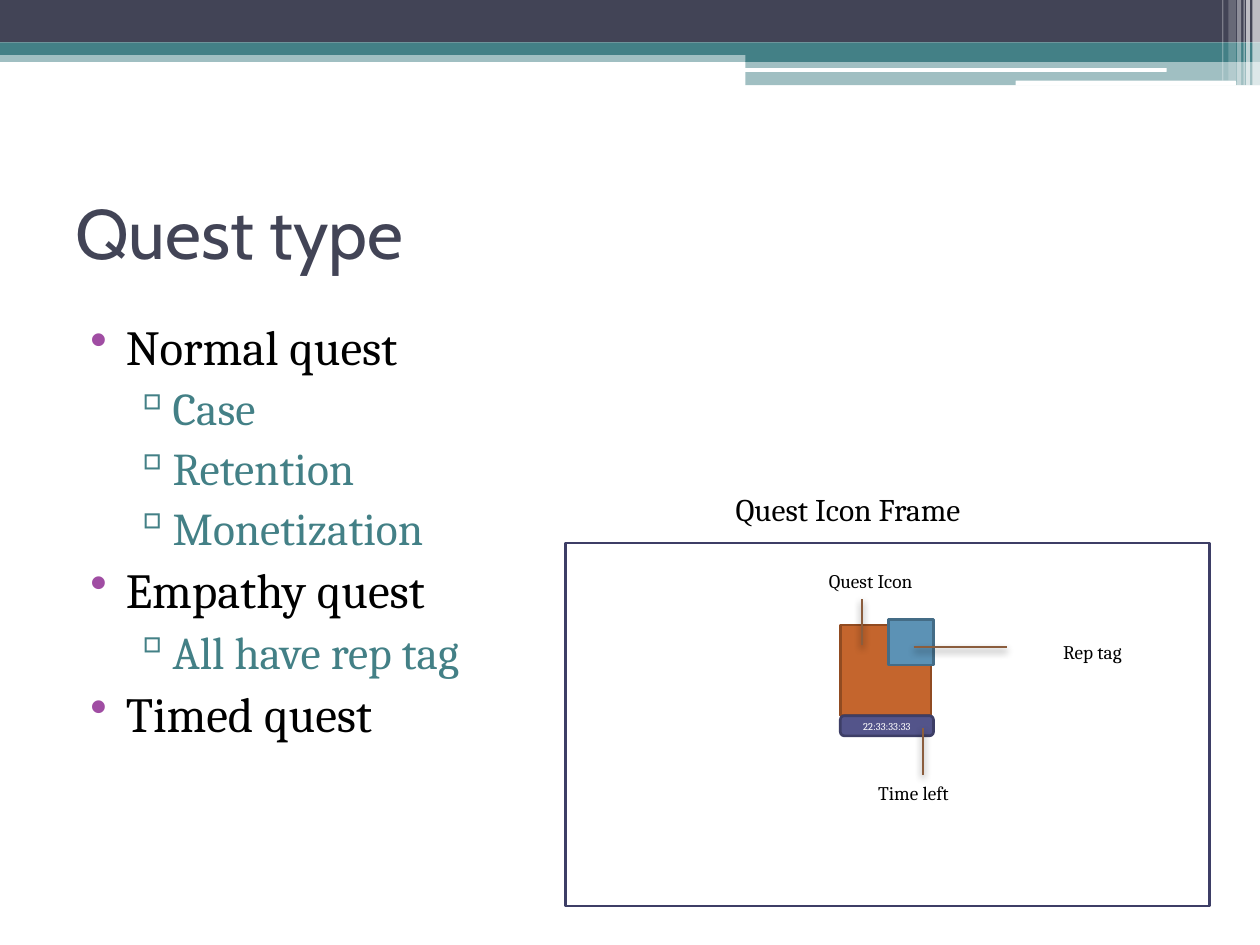
from lxml import etree
from pptx import Presentation
from pptx.dml.color import RGBColor
from pptx.enum import shapes, text
from pptx.oxml.ns import qn
from pptx.util import Pt

WHITE = RGBColor(0xFF, 0xFF, 0xFF)
BLACK = RGBColor(0, 0, 0)
SLATE = RGBColor(0x42, 0x44, 0x56)
TEAL = RGBColor(0x43, 0x80, 0x86)
PURPLE = RGBColor(0xA0, 0x4D, 0xA3)
ORANGE = RGBColor(0xC4, 0x65, 0x2D)
RUST = RGBColor(0x91, 0x4B, 0x21)
BLUE = RGBColor(0x5C, 0x92, 0xB5)
DEEP_BLUE = RGBColor(0x44, 0x6C, 0x86)
INDIGO = RGBColor(0x53, 0x54, 0x8A)
NAVY = RGBColor(0x3D, 0x3E, 0x66)
BROWN = RGBColor(0x8B, 0x5D, 0x3D)

RECT = shapes.MSO_SHAPE.RECTANGLE
ROUND = shapes.MSO_SHAPE.ROUNDED_RECTANGLE

# Bullet, its colour, text colour, size, left margin and hanging indent per level
LEVELS = [("•", PURPLE, BLACK, 28, 28.8, 20.2),
          ("▫", TEAL, TEAL, 26, 51.8, 19.4)]
QUESTS = [(0, "Normal quest"), (1, "Case"), (1, "Retention"),
          (1, "Monetization"), (0, "Empathy quest"),
          (1, "All have rep tag"), (0, "Timed quest")]


def sub(parent, tag, **attrs):
    return etree.SubElement(parent, qn(tag), {k: str(v) for k, v in attrs.items()})


def add_box(s, box, fill=None, line=None, kind=RECT, alpha=100, adj=0.167):
    sp = s.shapes.add_shape(kind, *map(Pt, box))
    sp.shadow.inherit = False
    if kind == ROUND:
        sp.adjustments[0] = adj
    if fill is None:
        sp.fill.background()
    else:
        sp.fill.solid()
        sp.fill.fore_color.rgb = fill
        if alpha < 100:
            color = sp._element.spPr.find(qn("a:solidFill"))[0]
            sub(color, "a:alpha", val=alpha * 1000)
    if line is None:
        sp.line.fill.background()
    else:
        sp.line.color.rgb = line
        sp.line.width = Pt(1.5)
    return sp


def style(p, size, color, font="Cambria", align=None):
    p.font.size, p.font.name, p.font.color.rgb = Pt(size), font, color
    p.alignment = align


def add_text(s, words, box, size=11, color=BLACK, font="Cambria", align=None,
             anchor=text.MSO_ANCHOR.TOP):
    tf = s.shapes.add_textbox(*map(Pt, box)).text_frame
    tf.word_wrap = True
    tf.vertical_anchor = anchor
    p = tf.paragraphs[0]
    p.text = words
    style(p, size, color, font, align)


def add_list(s, items, box):
    tf = s.shapes.add_textbox(*map(Pt, box)).text_frame
    tf.word_wrap = True
    for i, (level, words) in enumerate(items):
        char, bullet_color, color, size, margin, hang = LEVELS[level]
        p = tf.paragraphs[0] if i == 0 else tf.add_paragraph()
        p.text = words
        p.level = level
        if i:
            p.space_before = Pt(3)
        pPr = p._p.get_or_add_pPr()
        pPr.set("marL", str(Pt(margin)))
        pPr.set("indent", str(-Pt(hang)))
        sub(sub(pPr, "a:buClr"), "a:srgbClr", val=bullet_color)
        sub(pPr, "a:buChar", char=char)
        style(p, size, color)


def add_pointer(s, x1, y1, x2, y2):
    c = s.shapes.add_connector(shapes.MSO_CONNECTOR.STRAIGHT,
                               Pt(x1), Pt(y1), Pt(x2), Pt(y2))
    c.line.color.rgb = BROWN
    c.line.width = Pt(1.5)
    effects = sub(c._element.spPr, "a:effectLst")
    shadow = sub(effects, "a:outerShdw", blurRad=Pt(4.1), dist=Pt(2),
                 dir=90 * 60000, rotWithShape=0)
    sub(sub(shadow, "a:srgbClr", val=BLACK), "a:alpha", val=40000)


def add_header(s):
    # Horizontal bands
    for box, color, alpha in [((0, 28.8, 720, 6.6), TEAL, 50),
                              ((0, 0, 720, 24.3), SLATE, 100),
                              ((0, 24.2, 720, 7.2), TEAL, 100),
                              ((426, 28.2, 294, 7.2), TEAL, 100),
                              ((426, 34.9, 294, 13.8), TEAL, 50)]:
        add_box(s, box, color, alpha=alpha)
    # White accents
    for box in [(425.5, 38.9, 241.2, 2.2), (580.3, 46.1, 126, 2.9)]:
        add_box(s, box, WHITE, kind=ROUND)
    # Translucent stripes at the right edge
    for x, w, h, alpha in [(715.7, 4.3, 49, 65), (712.1, 2.2, 49, 65),
                           (710.6, 0.7, 49, 60), (707, 2.2, 49, 40),
                           (702, 4.3, 46.1, 20), (698.4, 0.7, 46.1, 30)]:
        add_box(s, (x, 0, w, h), WHITE, alpha=alpha)


def add_icon_frame(s):
    center = text.PP_ALIGN.CENTER
    # Icon and reputation tag
    add_box(s, (480.2, 357.1, 51.8, 51.8), ORANGE, RUST)
    add_box(s, (507.6, 354.2, 25.9, 25.9), BLUE, DEEP_BLUE)
    # Frame
    add_text(s, "Quest Icon Frame", (413.3, 276.5, 214.6, 28.8), size=18)
    add_box(s, (323.3, 310.3, 367.9, 207.4), line=NAVY)
    # Timer
    timer = add_box(s, (480.2, 409, 53.3, 11.5), INDIGO, NAVY, ROUND, adj=0.2)
    tf = timer.text_frame
    tf.vertical_anchor = text.MSO_ANCHOR.MIDDLE
    p = tf.paragraphs[0]
    p.text = "22:33:33:33"
    style(p, 6, WHITE, align=center)
    # Labels and pointers
    for words, x, y, align in [("Rep tag", 600.5, 362.2, None),
                               ("Quest Icon", 466.6, 321.8, None),
                               ("Time left", 478.8, 442.8, center)]:
        add_text(s, words, (x, y, 86.4, 20.9), align=align)
    for ends in [(522, 369.8, 575.3, 369.8), (492.5, 368.6, 492.5, 342),
                 (527.5, 442.8, 527.5, 416.2)]:
        add_pointer(s, *ends)


def main():
    prs = Presentation()
    prs.slide_width, prs.slide_height = Pt(720), Pt(540)
    s = prs.slides.add_slide(prs.slide_layouts[6])
    add_header(s)
    add_text(s, "Quest type", (36, 90, 648, 84.2), size=40, color=SLATE,
             font="Cabin", anchor=text.MSO_ANCHOR.MIDDLE)
    add_list(s, QUESTS, (36, 177.1, 648, 340.6))
    add_icon_frame(s)
    prs.save("out.pptx")


if __name__ == "__main__":
    main()
